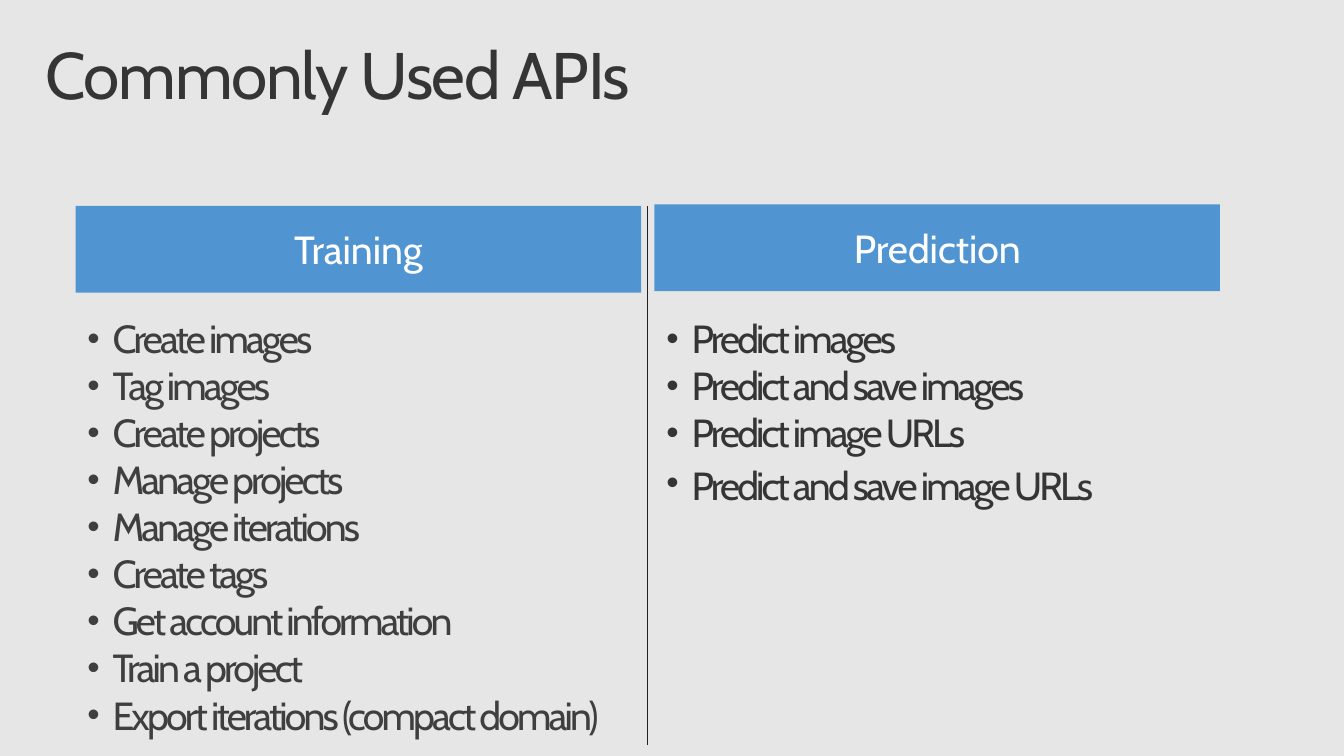
"""Build the slide of commonly used training and prediction APIs."""
from lxml.etree import SubElement
from pptx import Presentation
from pptx.dml.color import RGBColor
from pptx.enum.shapes import MSO_CONNECTOR, MSO_SHAPE
from pptx.enum.text import MSO_ANCHOR, MSO_AUTO_SIZE, PP_ALIGN
from pptx.oxml.ns import qn
from pptx.util import Pt

BACKGROUND = RGBColor(0xE6, 0xE6, 0xE6)
BLUE = RGBColor(0x50, 0x95, 0xD1)
WHITE = RGBColor(0xFF, 0xFF, 0xFF)
DARK = RGBColor(0x35, 0x35, 0x35)
GREY = RGBColor(0x3F, 0x3F, 0x3F)
BLACK = RGBColor(0x21, 0x21, 0x21)
FONT = "Cabin"

HEADING = "Commonly Used APIs"
COLUMNS = [
    {"name": "Training", "left": 54, "top": 147, "height": 340.5, "color": GREY,
     "calls": ["Create images", "Tag images", "Create projects",
               "Manage projects", "Manage iterations", "Create tags",
               "Get account information", "Train a project",
               "Export iterations (compact domain)"]},
    {"name": "Prediction", "left": 467.5, "top": 146, "height": 212.5, "color": DARK,
     "calls": ["Predict images", "Predict and save images",
               "Predict image URLs", "Predict and save image URLs"]},
]
BAR_WIDTH, BAR_HEIGHT = 404, 62
LIST_TOP, LIST_INSET, LIST_WIDTH = 221, 1.4, 402
DIVIDER_X, DIVIDER_TOP, DIVIDER_BOTTOM = 462.25, 147, 532


def add_run(paragraph, text, size, color, spacing=0):
    run = paragraph.add_run()
    run.text = text
    run.font.size = Pt(size)
    run.font.name = FONT
    run.font.color.rgb = color
    if spacing:
        run.font._element.set("spc", str(spacing * 100))


def add_bullet(paragraph):
    props = paragraph._p.get_or_add_pPr()
    props.set("marL", str(Pt(18)))
    props.set("indent", str(-Pt(18)))
    SubElement(props, qn("a:buSzPct")).set("val", "90000")
    SubElement(props, qn("a:buFont")).set("typeface", "Arial")
    SubElement(props, qn("a:buChar")).set("char", "•")


def add_heading(slide):
    frame = slide.shapes.add_textbox(Pt(21), Pt(23), Pt(918), Pt(70.5)).text_frame
    frame.word_wrap = True
    frame.margin_left = frame.margin_right = Pt(11.5)
    frame.margin_top = frame.margin_bottom = Pt(7.2)
    frame.paragraphs[0].line_spacing = 0.9
    add_run(frame.paragraphs[0], HEADING, 47, DARK, -1)


def add_bar(slide, column):
    bar = slide.shapes.add_shape(MSO_SHAPE.RECTANGLE, Pt(column["left"]),
                                 Pt(column["top"]), Pt(BAR_WIDTH), Pt(BAR_HEIGHT))
    bar.shadow.inherit = False
    bar.fill.solid()
    bar.fill.fore_color.rgb = BLUE
    bar.line.fill.background()
    bar.text_frame.vertical_anchor = MSO_ANCHOR.MIDDLE
    label = bar.text_frame.paragraphs[0]
    label.alignment = PP_ALIGN.CENTER
    add_run(label, column["name"], 28, WHITE)


def add_calls(slide, column):
    frame = slide.shapes.add_textbox(Pt(column["left"] + LIST_INSET), Pt(LIST_TOP),
                                     Pt(LIST_WIDTH), Pt(column["height"])).text_frame
    frame.word_wrap = True
    frame.auto_size = MSO_AUTO_SIZE.SHAPE_TO_FIT_TEXT
    for index, call in enumerate(column["calls"]):
        item = frame.add_paragraph() if index else frame.paragraphs[0]
        add_bullet(item)
        add_run(item, call, 28, column["color"], -2)
    if column["name"] == "Prediction":
        add_run(item, " ", 32, column["color"], -2)


def add_divider(slide):
    divider = slide.shapes.add_connector(MSO_CONNECTOR.STRAIGHT, Pt(DIVIDER_X), Pt(DIVIDER_TOP),
                                         Pt(DIVIDER_X), Pt(DIVIDER_BOTTOM))
    divider.line.color.rgb = BLACK
    divider.line.width = Pt(0.75)
    SubElement(divider._element.spPr, qn("a:effectLst"))


def main():
    deck = Presentation()
    deck.slide_width, deck.slide_height = Pt(960), Pt(540)
    slide = deck.slides.add_slide(deck.slide_layouts[6])
    slide.background.fill.solid()
    slide.background.fill.fore_color.rgb = BACKGROUND
    add_heading(slide)
    for column in COLUMNS:
        add_bar(slide, column)
        add_calls(slide, column)
    add_divider(slide)
    deck.save("out.pptx")


if __name__ == "__main__":
    main()
